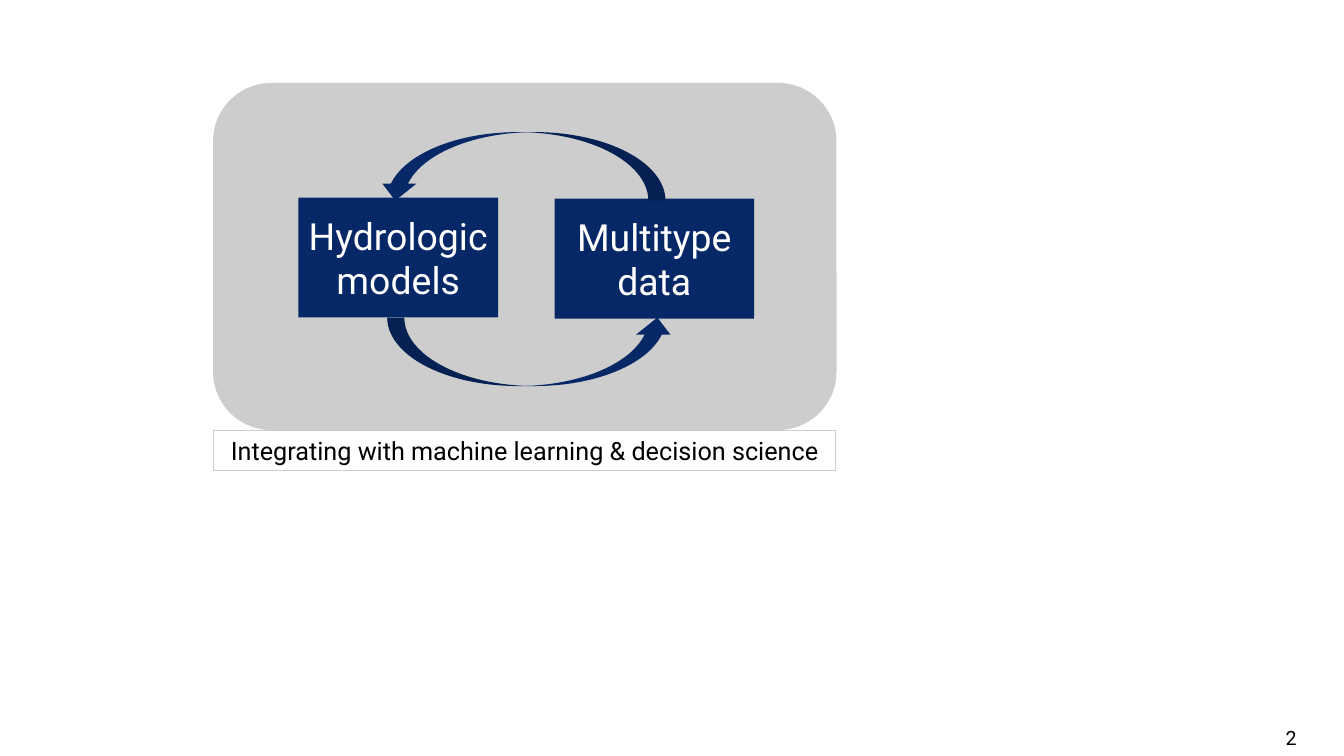
from dataclasses import dataclass

from pptx import Presentation
from pptx.dml.color import RGBColor
from pptx.enum.shapes import MSO_SHAPE as Shape
from pptx.enum.text import MSO_ANCHOR as Anchor, PP_ALIGN as Align
from pptx.util import Inches, Pt


@dataclass(frozen=True)
class Theme:
    font: str = "Roboto"
    navy: RGBColor = RGBColor(0x07, 0x28, 0x67)
    grey: RGBColor = RGBColor(0xCD, 0xCD, 0xCD)
    white: RGBColor = RGBColor(0xFF, 0xFF, 0xFF)
    black: RGBColor = RGBColor(0x00, 0x00, 0x00)
    box_size: float = 26.7
    caption_size: float = 18
    number_size: float = 14


THEME = Theme()


def add_block(slide, kind, bounds, fill, line=None, line_width=1):
    block = slide.shapes.add_shape(kind, *map(Inches, bounds))
    block.shadow.inherit = False
    block.fill.solid()
    block.fill.fore_color.rgb = fill
    if line is None:
        block.line.fill.background()
    else:
        block.line.color.rgb = line
        block.line.width = Pt(line_width)
    return block


def write(shape, text, size, color, align=Align.CENTER, anchor=Anchor.MIDDLE,
          side_inset=0.1):
    frame = shape.text_frame
    frame.word_wrap = True
    frame.vertical_anchor = anchor
    frame.margin_left = frame.margin_right = Inches(side_inset)
    paragraph = frame.paragraphs[0]
    paragraph.alignment = align
    run = paragraph.add_run()
    run.text = text
    run.font.name = THEME.font
    run.font.size = Pt(size)
    run.font.color.rgb = color


def add_topic(slide, text, left, top):
    topic = add_block(slide, Shape.RECTANGLE, (left, top, 1.98, 1.19), THEME.navy)
    write(topic, text, THEME.box_size, THEME.white, side_inset=0.05)


def add_cycle_arrow(slide, left, top, rotation=0):
    arrow = add_block(slide, Shape.CURVED_UP_ARROW, (left, top, 2.85, 0.68), THEME.navy)
    arrow.rotation = rotation


def add_caption(slide, text):
    caption = add_block(slide, Shape.RECTANGLE, (2.12, 4.27, 6.17, 0.4),
                        THEME.white, THEME.grey, 0.75)
    write(caption, text, THEME.caption_size, THEME.black)


def add_page_number(slide, number):
    box = slide.shapes.add_textbox(*map(Inches, (10, 7.15, 3.17, 0.34)))
    write(box, number, THEME.number_size, THEME.black, Align.RIGHT, Anchor.TOP,
          side_inset=0.31)


def main():
    deck = Presentation()
    deck.slide_width, deck.slide_height = Inches(13.33), Inches(7.5)
    slide = deck.slides.add_slide(deck.slide_layouts[6])

    add_block(slide, Shape.ROUNDED_RECTANGLE, (2.12, 0.83, 6.17, 3.43),
              THEME.grey, THEME.grey)
    add_topic(slide, "Hydrologic models", 2.96, 1.96)
    add_topic(slide, "Multitype data", 5.5, 1.97)
    add_cycle_arrow(slide, 3.84, 3.15)
    add_cycle_arrow(slide, 3.75, 1.31, rotation=180)
    add_caption(slide, "Integrating with machine learning & decision science")
    add_page_number(slide, "2")

    deck.save("out.pptx")


if __name__ == "__main__":
    main()
